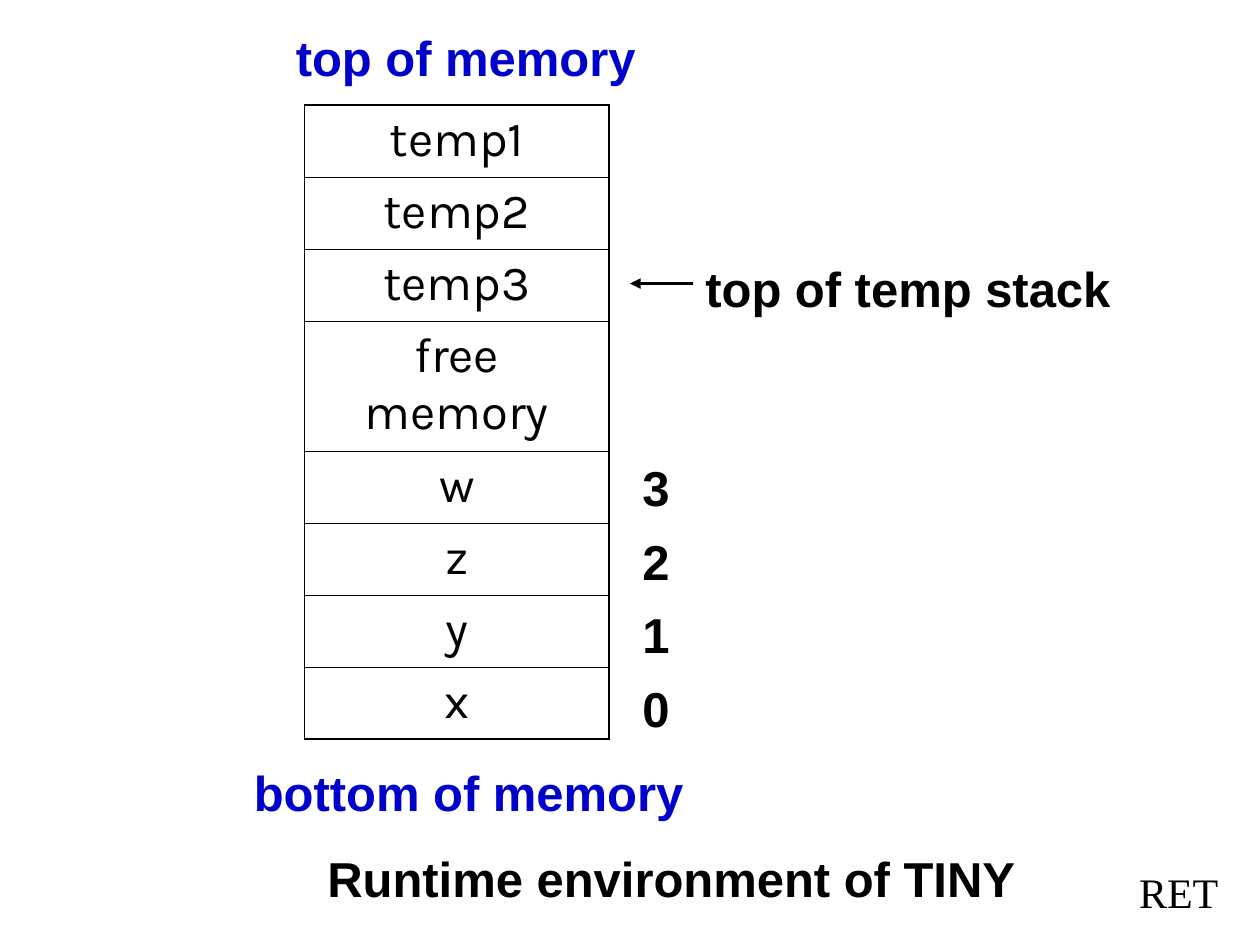
from lxml.etree import SubElement
from pptx import Presentation
from pptx.dml.color import RGBColor
from pptx.enum.shapes import MSO_CONNECTOR
from pptx.enum.text import MSO_ANCHOR, PP_ALIGN
from pptx.oxml.ns import qn
from pptx.util import Inches, Pt

UNIT = Inches(1 / 12)
COLUMNS, ROWS = 120, 90
BLACK, BLUE = "000000", "0000CC"
LABEL_HEIGHT = 6.84
CELLS = ["temp1", "temp2", "temp3", "free memory", "w", "z", "y", "x"]
SINGLE_ROW, DOUBLE_ROW = 6.86, 12.38


def grid(*values):
    """Convert grid units to slide lengths."""
    return [round(value * UNIT) for value in values]


def color(value):
    """Turn a hex string into a colour."""
    return RGBColor.from_string(value)


def write(frame, text, size=28, font="Arial", fill=BLACK, bold=True, align=PP_ALIGN.LEFT):
    """Write one formatted paragraph into a text frame."""
    paragraph = frame.paragraphs[0]
    paragraph.alignment = align
    run = paragraph.add_run()
    run.text = text
    run.font.size = Pt(size)
    run.font.name = font
    run.font.bold = bold
    run.font.color.rgb = color(fill)


def add_label(slide, box, text, wrap=True, **style):
    """Place a text box on the grid."""
    shape = slide.shapes.add_textbox(*grid(*box))
    shape.text_frame.word_wrap = wrap
    write(shape.text_frame, text, **style)


def set_border(cell, side, width):
    """Draw one side of a table cell."""
    line = SubElement(cell._tc.get_or_add_tcPr(), qn(f"a:ln{side}"), w=str(Pt(width)))
    fill = SubElement(line, qn("a:solidFill"))
    SubElement(fill, qn("a:srgbClr"), val=BLACK)


def add_memory_table(slide, left, top, width):
    """Build the column of memory cells."""
    heights = [DOUBLE_ROW if " " in text else SINGLE_ROW for text in CELLS]
    box = grid(left, top, width, sum(heights))
    table = slide.shapes.add_table(len(CELLS), 1, *box).table
    table.first_row = table.horz_banding = False
    last = len(CELLS) - 1
    for index, (text, height) in enumerate(zip(CELLS, heights)):
        table.rows[index].height = grid(height)[0]
        cell = table.cell(index, 0)
        cell.vertical_anchor = MSO_ANCHOR.TOP
        write(cell.text_frame, text, font="Karla", bold=False, align=PP_ALIGN.CENTER)
        widths = {"L": 1.08, "R": 1.08, "T": 0.45 if index else 1.08,
                  "B": 0.45 if index < last else 1.08}
        for side, border in widths.items():
            set_border(cell, side, border)
        cell.fill.background()


def add_addresses(slide, left, top, step):
    """Number the variable cells from the highest address down."""
    for index, address in enumerate("3210"):
        add_label(slide, (left, top + index * step, 5, LABEL_HEIGHT), address)


def add_stack_pointer(slide, left, top):
    """Point an arrow and its label at the top of the temp stack."""
    add_label(slide, (left + 6, top, 45, LABEL_HEIGHT), "top of temp stack")
    ends = grid(left + 6, top + 3, left, top + 3)
    arrow = slide.shapes.add_connector(MSO_CONNECTOR.STRAIGHT, *ends)
    arrow.line.width = Pt(2)
    arrow.line.color.rgb = color(BLACK)
    SubElement(arrow.line._get_or_add_ln(), qn("a:tailEnd"), type="triangle")
    SubElement(arrow._element.spPr, qn("a:effectLst"))


def add_memory_map(slide, left, top):
    """Place the memory cells with all their labels."""
    add_memory_table(slide, left, top, 29)
    add_label(slide, (left - 6, top + 62, 45, LABEL_HEIGHT), "bottom of memory", fill=BLUE)
    add_label(slide, (left - 2, top - 8, 37, LABEL_HEIGHT), "top of memory", fill=BLUE)
    add_stack_pointer(slide, left + 31, top + 14)
    add_addresses(slide, left + 31, top + 33, 7)


def add_captions(slide, left, top):
    """Place the title and the chapter mark at the foot."""
    add_label(slide, (left, top, 71, LABEL_HEIGHT), "Runtime environment of TINY")
    add_label(slide, (left + 77.3, top + 1.7, 10, 6), "RET", wrap=False,
              size=24, font="Times New Roman", bold=False)


def main():
    """Build and save the presentation."""
    presentation = Presentation()
    presentation.slide_width, presentation.slide_height = grid(COLUMNS, ROWS)
    slide = presentation.slides.add_slide(presentation.slide_layouts[6])
    add_memory_map(slide, 29, 10)
    add_captions(slide, 30, 80.2)
    presentation.save("out.pptx")


if __name__ == "__main__":
    main()
